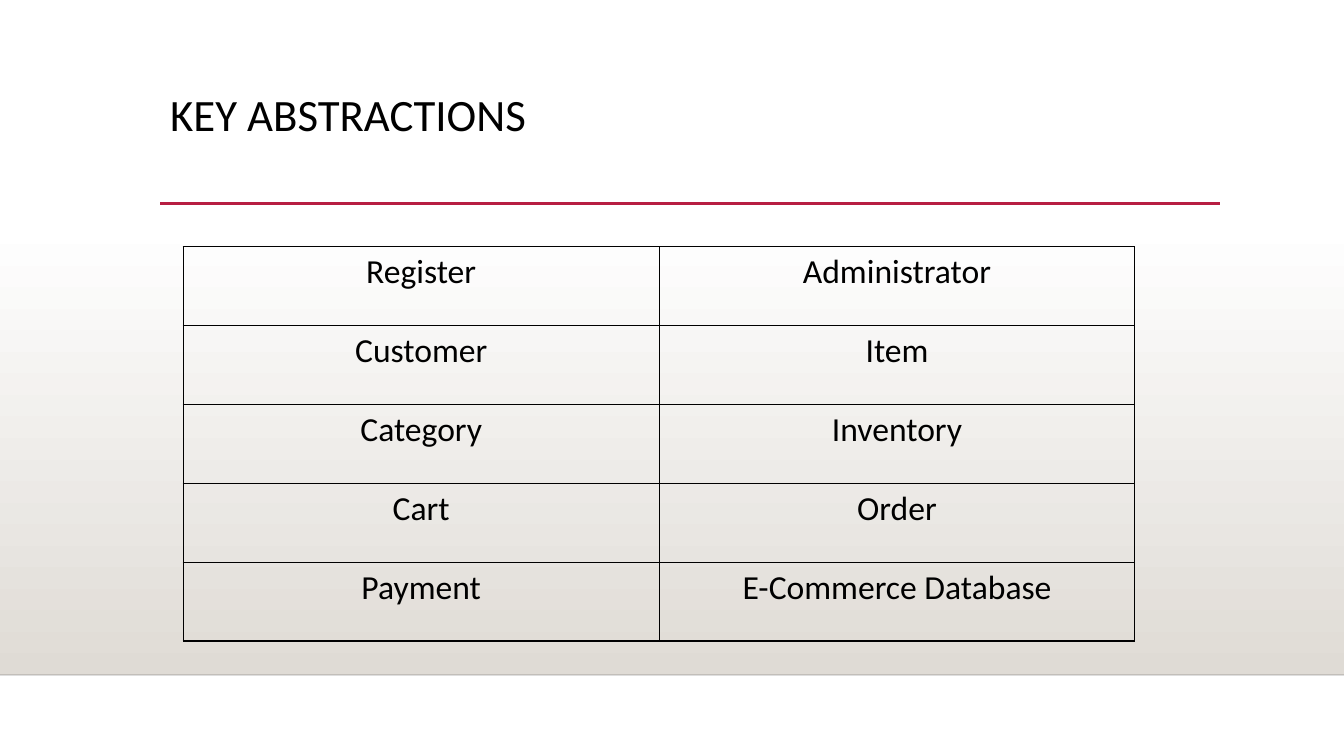
from lxml.etree import SubElement
from pptx import Presentation
from pptx.dml.color import RGBColor
from pptx.enum.shapes import MSO_CONNECTOR, MSO_SHAPE
from pptx.enum.text import MSO_ANCHOR, PP_ALIGN
from pptx.oxml import parse_xml
from pptx.oxml.ns import nsdecls, qn
from pptx.util import Cm, Pt

WHITE = RGBColor(0xFF, 0xFF, 0xFF)
BLACK = RGBColor(0x00, 0x00, 0x00)
SAND = RGBColor(0xDF, 0xDB, 0xD5)
CRIMSON = RGBColor(0xB7, 0x1E, 0x42)
FONT = "Calibri"
SLIDE_W, SLIDE_H = Cm(33.87), Cm(19.05)

ABSTRACTIONS = [
    ("Register", "Administrator"),
    ("Customer", "Item"),
    ("Category", "Inventory"),
    ("Cart", "Order"),
    ("Payment", "E-Commerce Database"),
]


def style_run(r, size):
    r.font.name = FONT
    r.font.size = Pt(size)
    r.font.color.rgb = BLACK


def add_rule(s, left, top, width, color, weight):
    """Draw a horizontal line without a shadow."""
    rule = s.shapes.add_connector(MSO_CONNECTOR.STRAIGHT, left, top, left + width, top)
    rule.line.color.rgb = color
    rule.line.width = Pt(weight)
    SubElement(rule._element.spPr, qn("a:effectLst"))
    return rule


def add_floor(s, left, top, width, height):
    # Band fading from white down to sand
    band = s.shapes.add_shape(MSO_SHAPE.RECTANGLE, left, top, width, height)
    band.shadow.inherit = False
    band.line.fill.background()
    band.fill.gradient()
    band.fill.gradient_angle = 270
    for stop, color in zip(band.fill.gradient_stops, (WHITE, SAND)):
        stop.color.rgb = color
    for stop, position in zip(band.fill.gradient_stops, (0, 1)):
        stop.position = position

    # Faint edge under the band
    edge = add_rule(s, left, top + height, width, BLACK, 1)
    color = edge._element.spPr.find(".//" + qn("a:srgbClr"))
    SubElement(color, qn("a:alpha"), val="20000")


def add_title(s, left, top, width, height):
    sp = s.shapes.add_textbox(left, top, width, height)
    tf = sp.text_frame
    tf.word_wrap = True
    tf.vertical_anchor = MSO_ANCHOR.TOP
    tf.text = "KEY ABSTRACTIONS"
    p = tf.paragraphs[0]
    p.line_spacing = 0.9
    p.space_after = Pt(6)
    style_run(p.runs[0], 32)

    # Rule along the bottom of the title
    add_rule(s, left, top + height, Cm(26.7), CRIMSON, 2.5)


def add_borders(cell):
    tcPr = cell._tc.get_or_add_tcPr()
    for i, side in enumerate(("lnL", "lnR", "lnT", "lnB")):
        tcPr.insert(i, parse_xml(
            f'<a:{side} {nsdecls("a")} w="{Pt(1)}"><a:solidFill>'
            f'<a:srgbClr val="{BLACK}"/></a:solidFill></a:{side}>'))


def add_abstractions(s, left, top, width, height):
    rows, cols = len(ABSTRACTIONS), len(ABSTRACTIONS[0])
    table = s.shapes.add_table(rows, cols, left, top, width, height).table
    table.first_row = False
    table.horz_banding = False
    for i, names in enumerate(ABSTRACTIONS):
        for j, name in enumerate(names):
            cell = table.cell(i, j)
            cell.fill.background()
            add_borders(cell)
            cell.text_frame.text = name
            p = cell.text_frame.paragraphs[0]
            p.alignment = PP_ALIGN.CENTER
            style_run(p.runs[0], 24)


def main():
    prs = Presentation()
    prs.slide_width, prs.slide_height = SLIDE_W, SLIDE_H
    s = prs.slides.add_slide(prs.slide_layouts[6])
    s.background.fill.solid()
    s.background.fill.fore_color.rgb = WHITE

    add_floor(s, 0, Cm(5.61), SLIDE_W, Cm(11.4))
    add_title(s, Cm(4.04), Cm(2.22), Cm(26.67), Cm(2.91))
    add_abstractions(s, Cm(4.62), Cm(6.22), Cm(23.98), Cm(9.93))
    prs.save("out.pptx")


if __name__ == "__main__":
    main()
